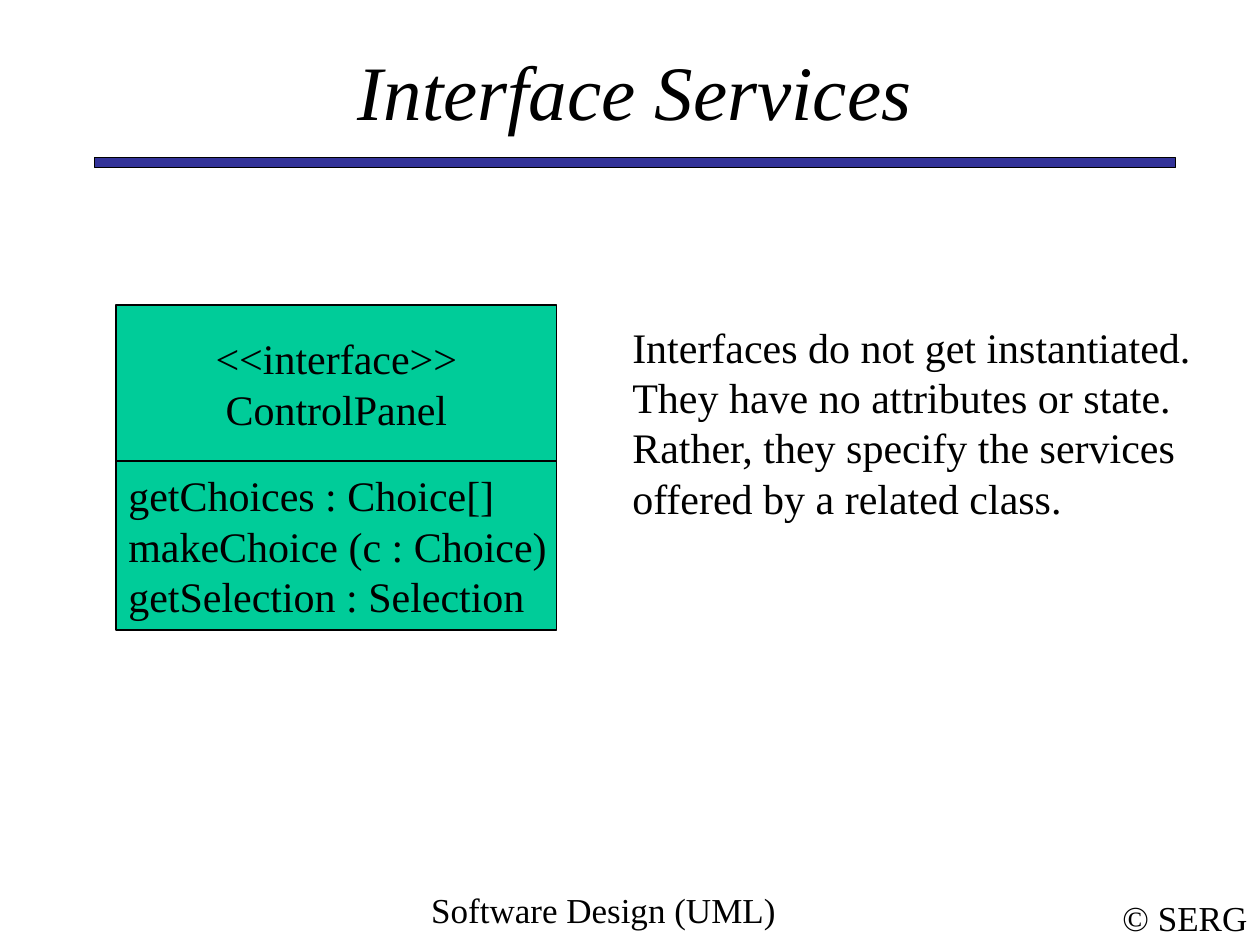
from pptx import Presentation
from pptx.dml.color import RGBColor
from pptx.enum.shapes import MSO_SHAPE
from pptx.enum.text import MSO_ANCHOR, PP_ALIGN
from pptx.util import Inches, Pt

RECTANGLE = MSO_SHAPE.RECTANGLE
TOP, MIDDLE = MSO_ANCHOR.TOP, MSO_ANCHOR.MIDDLE
LEFT, CENTER = PP_ALIGN.LEFT, PP_ALIGN.CENTER

FONT = "Times New Roman"
COLORS = {"ink": "000000", "rule": "333399", "class": "00CC99"}
TITLE_SIZE, BODY_SIZE, FOOTER_SIZE = 44, 24, 20

# Slide and shared column edges, in inches
WIDTH, HEIGHT = 10, 7.5
HEADER_LEFT, HEADER_WIDTH = 0.75, 8.58
CLASS_LEFT, CLASS_TOP, CLASS_WIDTH = 0.92, 2.42, 3.5


def color(name):
    return RGBColor.from_string(COLORS[name])


def inches(*lengths):
    return [Inches(length) for length in lengths]


def write(frame, text, size, align=LEFT, anchor=TOP, wrap=True, italic=False):
    frame.text = text
    frame.word_wrap = wrap
    frame.vertical_anchor = anchor
    for paragraph in frame.paragraphs:
        paragraph.alignment = align
        for run in paragraph.runs:
            run.font.name = FONT
            run.font.size = Pt(size)
            run.font.italic = italic
            run.font.color.rgb = color("ink")


def add_title(slide, text):
    title = slide.shapes.title
    title.left, title.top, title.width, title.height = inches(
        HEADER_LEFT, 0.42, HEADER_WIDTH, 0.58)
    write(title.text_frame, text, TITLE_SIZE, CENTER, MIDDLE, italic=True)


def add_box(shapes, area, fill):
    box = shapes.add_shape(RECTANGLE, *inches(*area))
    box.shadow.inherit = False
    box.fill.solid()
    box.fill.fore_color.rgb = color(fill)
    box.line.color.rgb = color("ink")
    box.line.width = Pt(0.75)
    return box


def add_text(slide, area, text, size, **layout):
    box = slide.shapes.add_textbox(*inches(*area))
    write(box.text_frame, text, size, **layout)


def add_class(slide, compartments):
    """Stack the compartments of a UML class as one group."""
    group = slide.shapes.add_group_shape()
    top = CLASS_TOP
    for lines, height, align in compartments:
        box = add_box(group.shapes, (CLASS_LEFT, top, CLASS_WIDTH, height), "class")
        write(box.text_frame, "\n".join(lines), BODY_SIZE, align, MIDDLE, wrap=False)
        top += height


def main():
    deck = Presentation()
    deck.slide_width, deck.slide_height = inches(WIDTH, HEIGHT)
    slide = deck.slides.add_slide(deck.slide_layouts[5])

    # Header
    add_title(slide, "Interface Services")
    add_box(slide.shapes, (HEADER_LEFT, 1.25, HEADER_WIDTH, 0.08), "rule")

    # Interface diagram: name above, operations below
    add_class(slide, [
        (["<<interface>>", "ControlPanel"], 1.24, CENTER),
        (["getChoices : Choice[]", "makeChoice (c : Choice)",
          "getSelection : Selection"], 1.34, LEFT),
    ])

    # Explanation
    add_text(slide, (4.92, 2.5, 4.83, 1.7),
             "Interfaces do not get instantiated. They have no attributes or state. "
             "Rather, they specify the services offered by a related class.", BODY_SIZE)

    # Footer
    add_text(slide, (2.58, HEIGHT - 0.5, 4.42, 0.5), "Software Design (UML)",
             FOOTER_SIZE, align=CENTER)
    add_text(slide, (WIDTH - 1.19, HEIGHT - 0.44, 1.19, 0.44), "© SERG",
             FOOTER_SIZE, align=CENTER, anchor=MIDDLE, wrap=False)

    deck.save("out.pptx")


if __name__ == "__main__":
    main()
